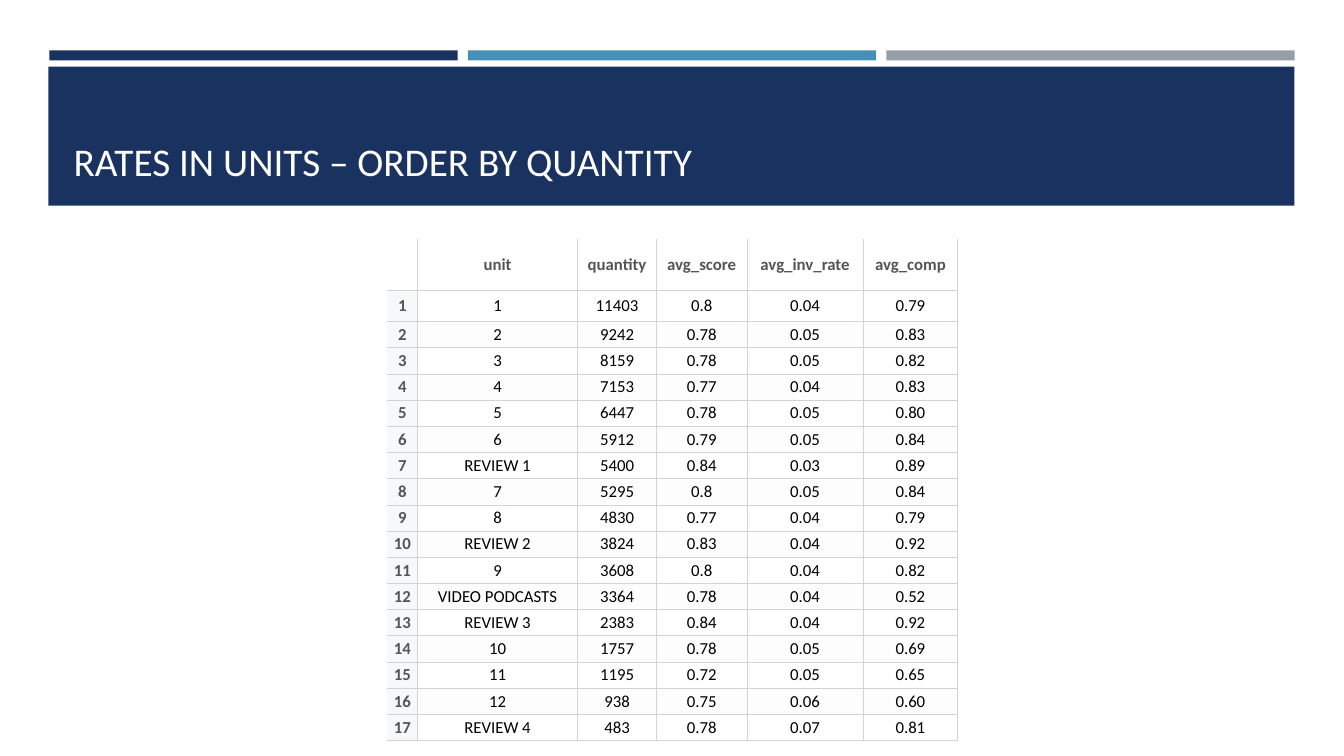
from lxml.etree import SubElement
from pptx import Presentation
from pptx.dml.color import RGBColor
from pptx.enum.shapes import MSO_SHAPE
from pptx.enum.text import MSO_ANCHOR, MSO_AUTO_SIZE, PP_ALIGN
from pptx.oxml.ns import qn
from pptx.util import Inches, Pt

TITLE = "RATES IN UNITS – ORDER BY QUANTITY"
HEADERS = ["", "unit", "quantity", "avg_score", "avg_inv_rate", "avg_comp"]
UNITS = [
    ("1", "11403", "0.8", "0.04", "0.79"),
    ("2", "9242", "0.78", "0.05", "0.83"),
    ("3", "8159", "0.78", "0.05", "0.82"),
    ("4", "7153", "0.77", "0.04", "0.83"),
    ("5", "6447", "0.78", "0.05", "0.80"),
    ("6", "5912", "0.79", "0.05", "0.84"),
    ("REVIEW 1", "5400", "0.84", "0.03", "0.89"),
    ("7", "5295", "0.8", "0.05", "0.84"),
    ("8", "4830", "0.77", "0.04", "0.79"),
    ("REVIEW 2", "3824", "0.83", "0.04", "0.92"),
    ("9", "3608", "0.8", "0.04", "0.82"),
    ("VIDEO PODCASTS", "3364", "0.78", "0.04", "0.52"),
    ("REVIEW 3", "2383", "0.84", "0.04", "0.92"),
    ("10", "1757", "0.78", "0.05", "0.69"),
    ("11", "1195", "0.72", "0.05", "0.65"),
    ("12", "938", "0.75", "0.06", "0.60"),
    ("REVIEW 4", "483", "0.78", "0.07", "0.81"),
]
COLORS = {
    "navy": "1A3260", "blue": "4590B8", "gray": "969FA7", "white": "FFFFFF",
    "rule": "CFD4D8", "label": "555555", "black": "000000",
    "index": "F7F8F9", "band": "FDFDFD",
}
FONT = "Calibri"
COLUMN_WIDTHS = [0.3, 1.59, 0.78, 0.9, 1.15, 0.94]
HEADER_HEIGHT, FIRST_HEIGHT, ROW_HEIGHT = 0.51, 0.31, 0.26
TABLE_LEFT, TABLE_TOP = 3.84, 2.37
BAR_LEFT, BAR_WIDTH, BAR_GAP = 0.49, 4.05, 0.1
THIN, THICK = 0.6, 1


def color(name):
    """Return the named palette colour."""
    return RGBColor.from_string(COLORS[name])


def add_bar(page, left, top, width, height, fill):
    """Add a plain filled rectangle."""
    bar = page.shapes.add_shape(MSO_SHAPE.RECTANGLE, *map(Inches, (left, top, width, height)))
    bar.shadow.inherit = False
    bar.fill.solid()
    bar.fill.fore_color.rgb = color(fill)
    bar.line.fill.background()


def write(frame, text, size, ink, bold=False, align=PP_ALIGN.LEFT):
    """Write one formatted paragraph into a text frame."""
    para = frame.paragraphs[0]
    para.alignment = align
    if text:
        span = para.add_run()
        span.text = text
        span.font.name, span.font.size, span.font.bold = FONT, Pt(size), bold
        span.font.color.rgb = color(ink)


def set_borders(cell, **widths):
    """Rule the four sides of a cell; a width of 0 leaves a side open."""
    properties = cell._tc.get_or_add_tcPr()
    for side in "LRTB":
        width = widths[side]
        line = SubElement(properties, qn(f"a:ln{side}"), w=str(Pt(width)))
        if width:
            fill = SubElement(line, qn("a:solidFill"))
            SubElement(fill, qn("a:srgbClr"), val=COLORS["rule"])
        else:
            SubElement(line, qn("a:noFill"))


def format_cell(cell, row, column, text):
    """Fill in one table cell according to its row and column."""
    is_label = row == 0 or column == 0
    set_borders(
        cell,
        L=THIN if column else 0,
        R=THIN,
        T=(0, THICK)[row] if row < 2 else THIN,
        B=THIN if row else THICK,
    )
    if row == 0:
        cell.fill.background()
    else:
        cell.fill.solid()
        banding = "white" if row % 2 else "band"
        cell.fill.fore_color.rgb = color(banding if column else "index")
    cell.vertical_anchor = MSO_ANCHOR.MIDDLE
    cell.margin_left = cell.margin_right = cell.margin_top = cell.margin_bottom = Inches(0.01)
    write(cell.text_frame, text, 12, "label" if is_label else "black",
          bold=is_label, align=PP_ALIGN.CENTER)


def add_unit_table(page):
    """Add the table of rates, numbering its rows."""
    rows = [HEADERS] + [(str(number), *unit) for number, unit in enumerate(UNITS, 1)]
    heights = [HEADER_HEIGHT, FIRST_HEIGHT] + [ROW_HEIGHT] * (len(UNITS) - 1)
    table = page.shapes.add_table(
        len(rows), len(HEADERS), Inches(TABLE_LEFT), Inches(TABLE_TOP),
        Inches(sum(COLUMN_WIDTHS)), Inches(sum(heights))).table
    table.first_row = table.horz_banding = False
    for column, width in zip(table.columns, COLUMN_WIDTHS):
        column.width = Inches(width)
    for row, (height, values) in enumerate(zip(heights, rows)):
        table.rows[row].height = Inches(height)
        for column, text in enumerate(values):
            format_cell(table.cell(row, column), row, column, text)


def place_title(page):
    """Set the title in front of the banner."""
    title = page.shapes.title
    title.left, title.top, title.width, title.height = map(Inches, (0.63, 0.8, 12.06, 1.08))
    frame = title.text_frame
    frame.word_wrap = True
    frame.auto_size = MSO_AUTO_SIZE.NONE
    frame.vertical_anchor = MSO_ANCHOR.BOTTOM
    write(frame, TITLE, 28, "white")
    page.shapes._spTree.append(title._element)


deck = Presentation()
deck.slide_width, deck.slide_height = Inches(13.33), Inches(7.5)
page = deck.slides.add_slide(deck.slide_layouts.get_by_name("Title Only"))
for position, fill in enumerate(("navy", "blue", "gray")):
    add_bar(page, BAR_LEFT + position * (BAR_WIDTH + BAR_GAP), 0.5, BAR_WIDTH, 0.1, fill)
add_bar(page, 0.48, 0.66, 12.36, 1.38, "navy")
place_title(page)
add_unit_table(page)
deck.save("out.pptx")
